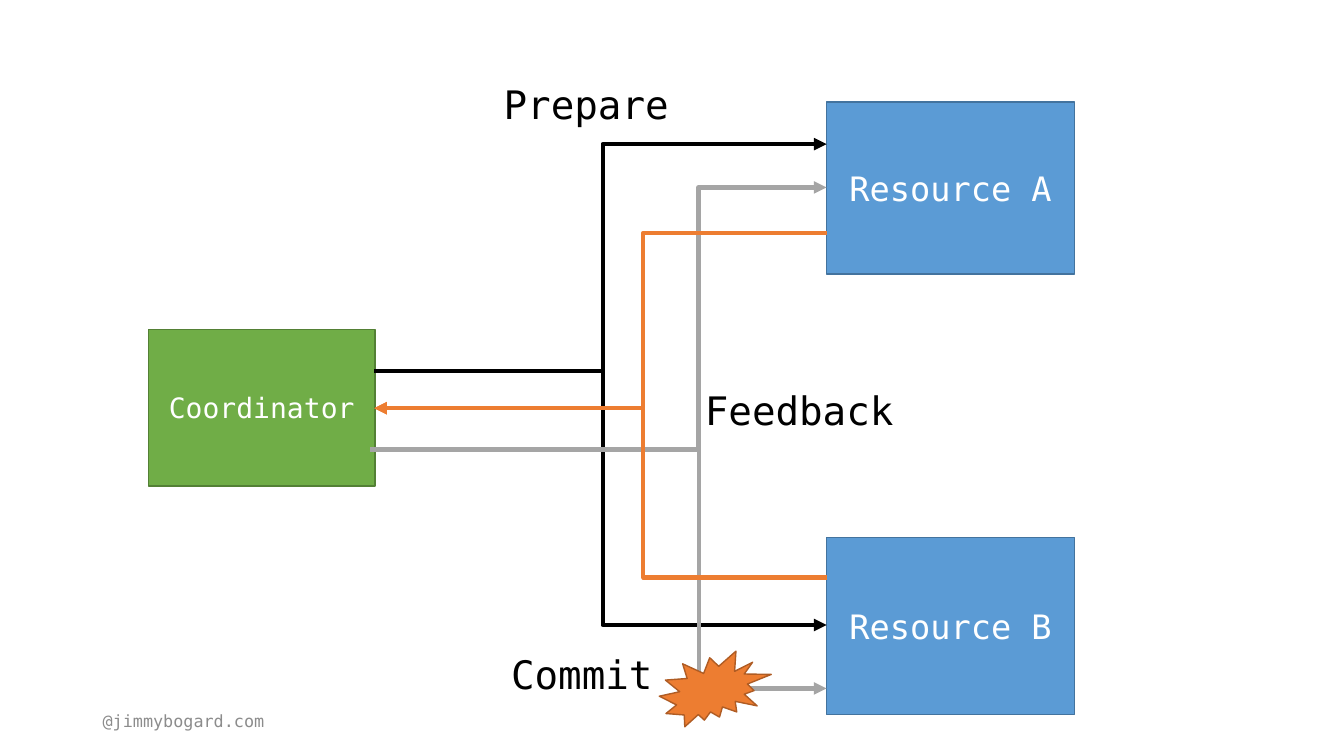
from lxml import etree
from pptx import Presentation
from pptx.dml.color import RGBColor
from pptx.enum.shapes import MSO_CONNECTOR, MSO_SHAPE
from pptx.enum.text import MSO_ANCHOR, PP_ALIGN
from pptx.oxml.ns import qn
from pptx.util import Inches, Pt

ELBOW = MSO_CONNECTOR.ELBOW
RECTANGLE, BURST = MSO_SHAPE.RECTANGLE, MSO_SHAPE.EXPLOSION2
LEFT, CENTER, RIGHT = PP_ALIGN.LEFT, PP_ALIGN.CENTER, PP_ALIGN.RIGHT
MIDDLE = MSO_ANCHOR.MIDDLE

WIDTH, HEIGHT = Inches(13.33), Inches(7.5)
FONT = "DejaVu Sans Mono"
COLORS = {
    "resource": "5B9BD5", "resource edge": "43739E",
    "coordinator": "70AD47", "coordinator edge": "538035",
    "failure": "ED7D31", "failure edge": "AF5C24",
    "prepare": "000000", "feedback": "ED7D31", "commit": "A5A5A5",
    "label": "000000", "handle": "8C8C8C", "box text": "FFFFFF",
}

# Horizontal and vertical places, in percent of the slide
RESOURCE_LEFT, RESOURCE_WIDTH = 61.5, 18.45
COORDINATOR_RIGHT = 27.85
PREPARE_Y, FEEDBACK_Y, COMMIT_Y = 49.07, 54, 59.47


def across(percent):
    return round(WIDTH * percent / 100)


def down(percent):
    return round(HEIGHT * percent / 100)


def place(left, top, width, height):
    return across(left), down(top), across(width), down(height)


def color(name):
    return RGBColor.from_string(COLORS[name])


def write(shape, text, size, color_name, alignment):
    frame = shape.text_frame
    frame.word_wrap = True
    frame.vertical_anchor = MIDDLE
    paragraph = frame.paragraphs[0]
    paragraph.text = text
    paragraph.alignment = alignment
    paragraph.font.name = FONT
    paragraph.font.size = Pt(size)
    paragraph.font.color.rgb = color(color_name)


def add_filled(slide, preset, area, color_name):
    shape = slide.shapes.add_shape(preset, *place(*area))
    shape.shadow.inherit = False
    shape.fill.solid()
    shape.fill.fore_color.rgb = color(color_name)
    shape.line.color.rgb = color(color_name + " edge")
    shape.line.width = Pt(1)
    return shape


def add_box(slide, area, color_name, text, size):
    box = add_filled(slide, RECTANGLE, area, color_name)
    write(box, text, size, "box text", CENTER)


def add_text(slide, area, text, size, color_name, alignment):
    box = slide.shapes.add_textbox(*place(*area))
    write(box, text, size, color_name, alignment)


def add_elbow(slide, start, end, bend, color_name):
    """Draw an arrow that turns at the horizontal place `bend`."""
    connector = slide.shapes.add_connector(
        ELBOW, across(start[0]), down(start[1]), across(end[0]), down(end[1]))
    connector.line.color.rgb = color(color_name)
    connector.line.width = Pt(3)
    properties = connector._element.spPr
    share = (bend - start[0]) / (end[0] - start[0])
    adjustments = properties.find(qn("a:prstGeom")).get_or_add_avLst()
    etree.SubElement(adjustments, qn("a:gd"), name="adj1",
                     fmla=f"val {round(share * 100000)}")
    etree.SubElement(properties.find(qn("a:ln")), qn("a:tailEnd"), type="triangle")
    etree.SubElement(properties, qn("a:effectLst"))


def main():
    presentation = Presentation()
    presentation.slide_width, presentation.slide_height = WIDTH, HEIGHT
    slide = presentation.slides.add_slide(presentation.slide_layouts[6])

    # Participants
    for text, top, height in (("Resource A", 13.47, 22.8), ("Resource B", 71.07, 23.47)):
        add_box(slide, (RESOURCE_LEFT, top, RESOURCE_WIDTH, height), "resource", text, 24)
    add_box(slide, (11.03, 43.6, 16.88, 20.67), "coordinator", "Coordinator", 20)

    # Requests from the coordinator
    for phase, left, start_y, end_y, bend in (
        ("prepare", COORDINATOR_RIGHT, PREPARE_Y, 19.07, 44.86),
        ("prepare", COORDINATOR_RIGHT, PREPARE_Y, 82.67, 44.86),
        ("commit", COORDINATOR_RIGHT, COMMIT_Y, 24.8, 51.99),
        ("commit", 27.53, COMMIT_Y, 91.07, 51.99),
    ):
        add_elbow(slide, (left, start_y), (RESOURCE_LEFT, end_y), bend, phase)

    # Feedback from the resources
    for start_y in (30.8, 76.4):
        add_elbow(slide, (RESOURCE_LEFT, start_y), (COORDINATOR_RIGHT, FEEDBACK_Y),
                  47.86, "feedback")

    # Phase labels
    for text, left, top, width in (
        ("Prepare", 36.01, 10, 14.48),
        ("Commit", 32.71, 85.33, 16.58),
        ("Feedback", 48.99, 50.4, 18.23),
    ):
        add_text(slide, (left, top, width, 7.6), text, 28, "label", RIGHT)

    # Failed commit and author handle
    add_filled(slide, BURST, (49.06, 86.13, 8.33, 10), "failure")
    add_text(slide, (6.9, 92.67, 22.5, 5.33), "@jimmybogard.com", 12, "handle", LEFT)

    presentation.save("out.pptx")


if __name__ == "__main__":
    main()
